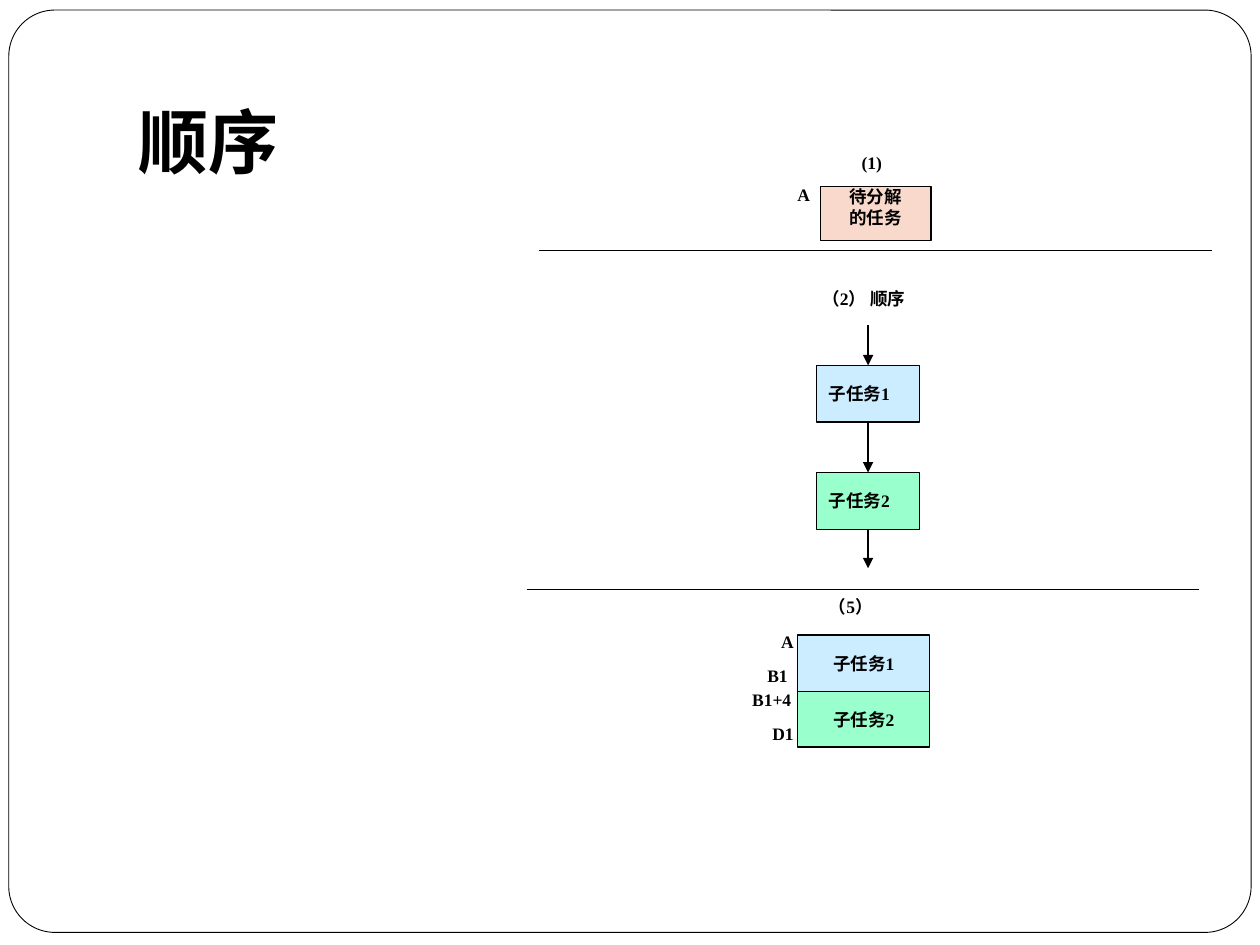
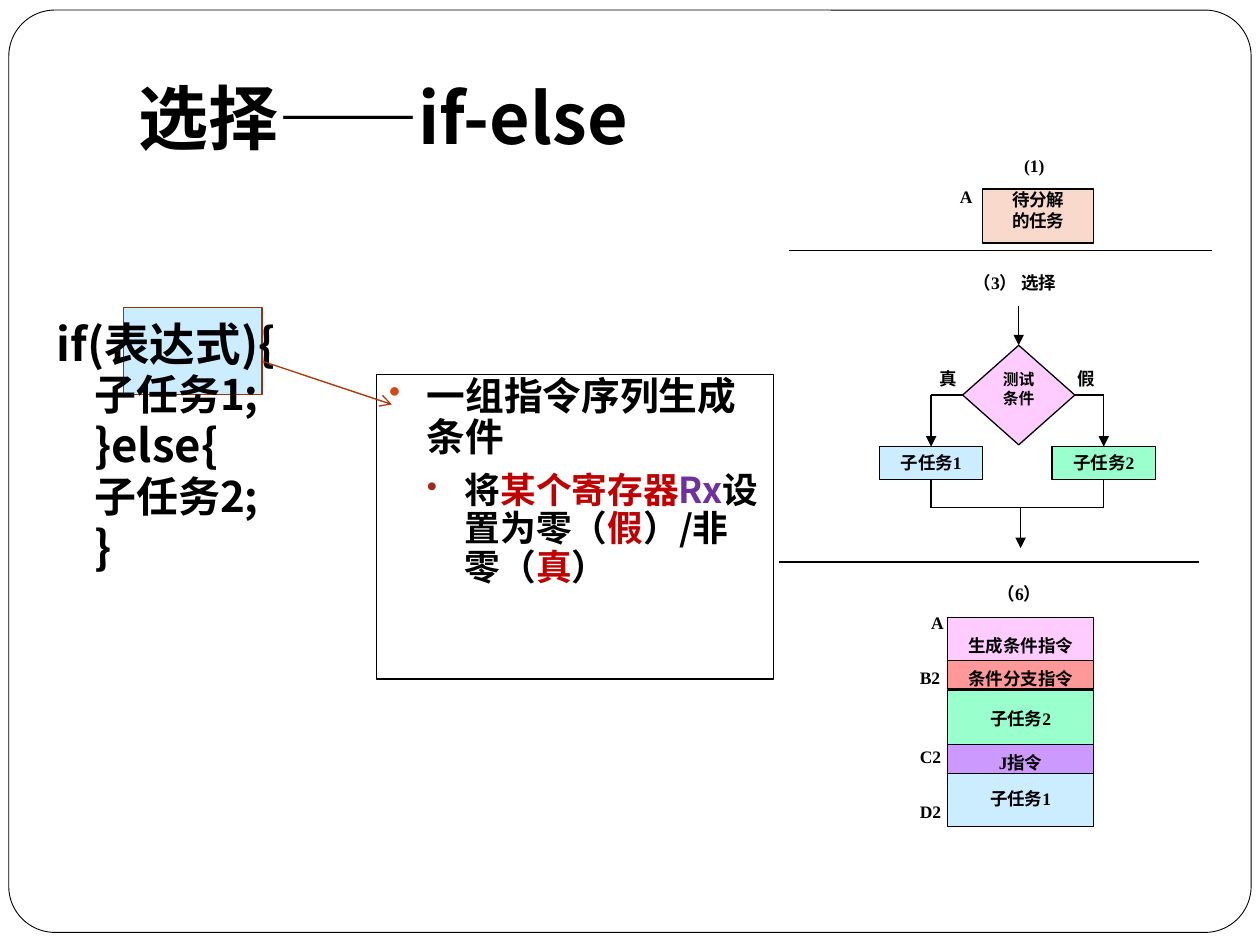
from lxml.etree import SubElement
from pptx import Presentation
from pptx.dml.color import RGBColor
from pptx.enum.shapes import MSO_CONNECTOR, MSO_SHAPE
from pptx.enum.text import MSO_ANCHOR, PP_ALIGN
from pptx.oxml.ns import qn
from pptx.util import Inches, Pt

prs = Presentation()
prs.slide_width, prs.slide_height = Inches(10), Inches(7.5)
# All positions count columns and rows of this grid.
COL, ROW = prs.slide_width / 100, prs.slide_height / 75

SANS, SERIF = "Noto Sans CJK SC", "Times New Roman"
BLACK, WHITE = "000000", "FFFFFF"
PEACH, BLUE, GREEN = "FAD9CD", "CCECFF", "99FFCC"
PINK, SALMON, VIOLET = "FFCCFF", "FF9999", "CC99FF"
RED, PURPLE = "C00000", "7030A0"
TASK_1, TASK_2 = ("子任务1", BLUE), ("子任务2", GREEN)
TOP, LEFT, BOTTOM, RIGHT = range(4)
SIDE_INSET = (0.1, 0, 0.1, 0)
TEXT_INSET = (0.1, 0.05, 0.1, 0.05)
BODY_INSET = (0.1, 0.02, 0.1, 0.05)
LOWERED_INSET = (0.1, 0.06, 0.1, 0)


def rgb(color):
    return RGBColor.from_string(color)


def place(left, top, width, height):
    """Turn grid units into slide lengths."""
    return round(left * COL), round(top * ROW), round(width * COL), round(height * ROW)


def add_run(p, text, size=10, font=SERIF, color=BLACK):
    r = p.add_run()
    r.text = text
    r.font.size, r.font.bold, r.font.name = Pt(size), True, font
    r.font.color.rgb = rgb(color)
    SubElement(r.font._element, qn("a:ea")).set("typeface", SANS)


def write(tf, text, align=PP_ALIGN.LEFT, indent=None, spacing=None, before=0,
          bullet=None, **font):
    """Append one paragraph per line of text and return the last one."""
    for line in text.split("\n"):
        first = not tf.paragraphs[0].runs
        p = tf.paragraphs[0] if first else tf.add_paragraph()
        pPr = p._p.get_or_add_pPr()
        if indent:
            pPr.set("marL", str(Inches(indent[0])))
            pPr.set("indent", str(Inches(indent[1])))
        if bullet:
            color = SubElement(pPr, qn("a:buClr"))
            SubElement(color, qn("a:srgbClr")).set("val", bullet)
            SubElement(pPr, qn("a:buSzPct")).set("val", "85000")
            SubElement(pPr, qn("a:buChar")).set("char", "•")
        p.alignment = align
        if spacing:
            p.line_spacing = spacing
        if before and not first:
            p.space_before = Pt(before)
        add_run(p, line, **font)
    return p


def frame_text(shape, inset, anchor):
    tf = shape.text_frame
    tf.word_wrap, tf.vertical_anchor = True, anchor
    tf.margin_left, tf.margin_top, tf.margin_right, tf.margin_bottom = map(Inches, inset)
    return tf


def add_label(s, box, text="", inset=TEXT_INSET, anchor=MSO_ANCHOR.TOP, **fmt):
    tf = frame_text(s.shapes.add_textbox(*place(*box)), inset, anchor)
    if text:
        write(tf, text, **fmt)
    return tf


def add_box(s, box, text="", fill=None, kind=MSO_SHAPE.RECTANGLE, line=BLACK, weight=0.75,
            inset=SIDE_INSET, anchor=MSO_ANCHOR.MIDDLE, align=PP_ALIGN.CENTER, **fmt):
    shape = s.shapes.add_shape(kind, *place(*box))
    shape.shadow.inherit = False
    if fill:
        shape.fill.solid()
        shape.fill.fore_color.rgb = rgb(fill)
    else:
        shape.fill.background()
    shape.line.color.rgb, shape.line.width = rgb(line), Pt(weight)
    tf = frame_text(shape, inset, anchor)
    if text:
        write(tf, text, align=align, **fmt)
    return shape


def link(s, start, end, head=None, color=BLACK):
    """Draw a line; each end is a (column, row) point or a (shape, side) joint."""
    joined = [hasattr(e[0], "shape_id") for e in (start, end)]
    points = [(0, 0) if j else e for j, e in zip(joined, (start, end))]
    c = s.shapes.add_connector(MSO_CONNECTOR.STRAIGHT, *place(*points[0], *points[1]))
    if joined[0]:
        c.begin_connect(*start)
    if joined[1]:
        c.end_connect(*end)
    c.line.color.rgb, c.line.width = rgb(color), Pt(0.75)
    if head:
        SubElement(c.line._get_or_add_ln(), qn("a:tailEnd")).set("type", head)
    SubElement(c._element.spPr, qn("a:effectLst"))


def new_slide(title, anchor, inset=TEXT_INSET):
    s = prs.slides.add_slide(prs.slide_layouts[6])
    frame = add_box(s, (0.7, 0.8, 98.6, 73.2), fill=WHITE, weight=0.5,
                    kind=MSO_SHAPE.ROUNDED_RECTANGLE)
    frame.adjustments[0] = 0.05
    add_label(s, (10, 3, 85, 12.5), title, inset, anchor, size=40, font=SANS)
    return s


def task_to_split(s, left, top, rule_left):
    add_box(s, (left, top, 8.8, 4.3), "待分解\n的任务", PEACH, anchor=MSO_ANCHOR.TOP)
    add_label(s, (left + 2.3, top - 3.2, 3.9, 3.3), "(1)")
    add_label(s, (left - 2.8, top - 0.7, 2.9, 2.9), "A")
    link(s, (rule_left, 19.9), (96.2, 19.9))


def sequence_flow(s, left, top):
    add_label(s, (left - 0.5, top - 6.6, 11.3, 3.3), "（2） 顺序")
    middle = left + 4.1
    first, second = [add_box(s, (left, top + 8.5 * i, 8.2, 4.5), *task, align=PP_ALIGN.LEFT)
                     for i, task in enumerate((TASK_1, TASK_2))]
    link(s, (middle, top - 3.2), (first, TOP), "triangle")
    link(s, (first, BOTTOM), (second, TOP), "triangle")
    link(s, (second, BOTTOM), (middle, top + 16.1), "triangle")


def selection_flow(s, left, top):
    """Draw the test with its two branches, from the top left of the diamond."""
    add_label(s, (left - 0.1, top - 6.3, 11.8, 3.3), "（3） 选择")
    test = add_box(s, (left, top, 8.9, 7.9), "测试\n条件", PINK, size=9, inset=(0, 0, 0, 0),
                   kind=MSO_SHAPE.FLOWCHART_DECISION, anchor=MSO_ANCHOR.TOP)
    link(s, (left + 4.45, top - 3.1), (test, TOP), "triangle")
    turn, merge = top + 3.95, top + 12.9
    branches = ((TASK_1, -6.6, LEFT, "真", -2.8), (TASK_2, 7.1, RIGHT, "假", 8.1))
    for task, dx, side, answer, answer_dx in branches:
        middle = left + dx + 4.1
        box = add_box(s, (left + dx, top + 8.05, 8.2, 2.6), *task)
        link(s, (test, side), (middle, turn))
        link(s, (middle, turn), (box, TOP), "triangle")
        link(s, (box, BOTTOM), (middle, merge))
        add_label(s, (left + answer_dx, top + 1.3, 3.5, 3.3), answer)
    link(s, (left - 2.5, merge), (left + 11.2, merge))
    link(s, (left + 4.6, merge), (left + 4.6, merge + 3.2), "triangle")


def memory_map(s, left, top, width, blocks, addresses):
    """Stack blocks (text, fill, offset, height, inset) with addresses to their left."""
    for text, fill, dy, height, inset in blocks:
        add_box(s, (left, top + dy, width, height), text, fill, inset=inset)
    for text, dx, dy in addresses:
        add_label(s, (left - dx, top + dy, dx + 0.1, 2), text, (0, 0, 0, 0))


def section_rule(s, left, row, number, number_box):
    link(s, (left, row), (95.2, row))
    add_label(s, (*number_box, 7.1, 3.3), number)


def if_else_code(s, left, top):
    add_box(s, (left + 6.3, top - 1.3, 11, 6.9), fill=BLUE, line="9B320E", weight=1)
    tf = add_label(s, (left, top, 23.6, 25.2), inset=BODY_INSET)
    code = ("if(表达式){", "子任务1;", "}else{", "子任务2;", "}")
    for i, line in enumerate(code):
        write(tf, line, size=24 if i % 2 else 26, font=SANS, spacing=0.8, before=5,
              indent=(0.3, 0 if i else -0.3))


def condition_note(s, left, top):
    box = add_box(s, (left, top, 31.5, 24.2))
    tf = frame_text(box, BODY_INSET, MSO_ANCHOR.TOP)
    layout = dict(font=SANS, spacing=0.9, before=7)
    write(tf, "一组指令序列生成条件", size=22.1, indent=(0.3, -0.3), bullet="D34817", **layout)
    p = write(tf, "将", size=20.4, indent=(0.6, -0.3), bullet="9B2D1F", **layout)
    for text, color in (("某个寄存器", RED), ("Rx", PURPLE), ("设置为零（", BLACK), ("假", RED),
                        ("）/非零（", BLACK), ("真", RED), ("）", BLACK)):
        add_run(p, text, 20.4, SANS, color)
    link(s, (left - 9, top - 1), (left + 1.2, top + 2.4), "arrow", "AF3408")


def sequence_slide():
    s = new_slide("顺序", MSO_ANCHOR.BOTTOM, (0.1, 0.05, 0.1, 0.1))
    task_to_split(s, 65.1, 14.8, 42.8)
    sequence_flow(s, 64.8, 29)
    section_rule(s, 41.8, 46.8, "（5）", (64.8, 46.8))
    memory_map(s, 63.3, 50.4, 10.5,
               [(*TASK_1, 0, 4.5, SIDE_INSET), (*TASK_2, 4.5, 4.4, SIDE_INSET)],
               [("A", 1.3, -0.3), ("B1", 2.4, 2.4), ("B1+4", 3.6, 4.3), ("D1", 2, 7)])


def selection_slide():
    s = new_slide("选择——if-else", MSO_ANCHOR.MIDDLE)
    if_else_code(s, 3.5, 25.7)
    task_to_split(s, 78, 15, 62.6)
    selection_flow(s, 76.4, 27.4)
    section_rule(s, 61.8, 44.6, "（6）", (78.2, 45.8))
    memory_map(s, 75.2, 49, 11.6,
               [("生成条件指令", PINK, 0, 3.9, LOWERED_INSET),
                (*TASK_2, 5.8, 4.4, SIDE_INSET), (*TASK_1, 12.2, 4.4, SIDE_INSET),
                ("条件分支指令", SALMON, 3.4, 2.3, LOWERED_INSET),
                ("J指令", VIOLET, 10.1, 2.3, LOWERED_INSET)],
               [("A", 1.3, -0.4), ("B2", 2.2, 3.9), ("C2", 2.2, 10.2), ("D2", 2.2, 14.6)])
    condition_note(s, 29.9, 29.7)


def main():
    sequence_slide()
    selection_slide()
    prs.save("out.pptx")


if __name__ == "__main__":
    main()
